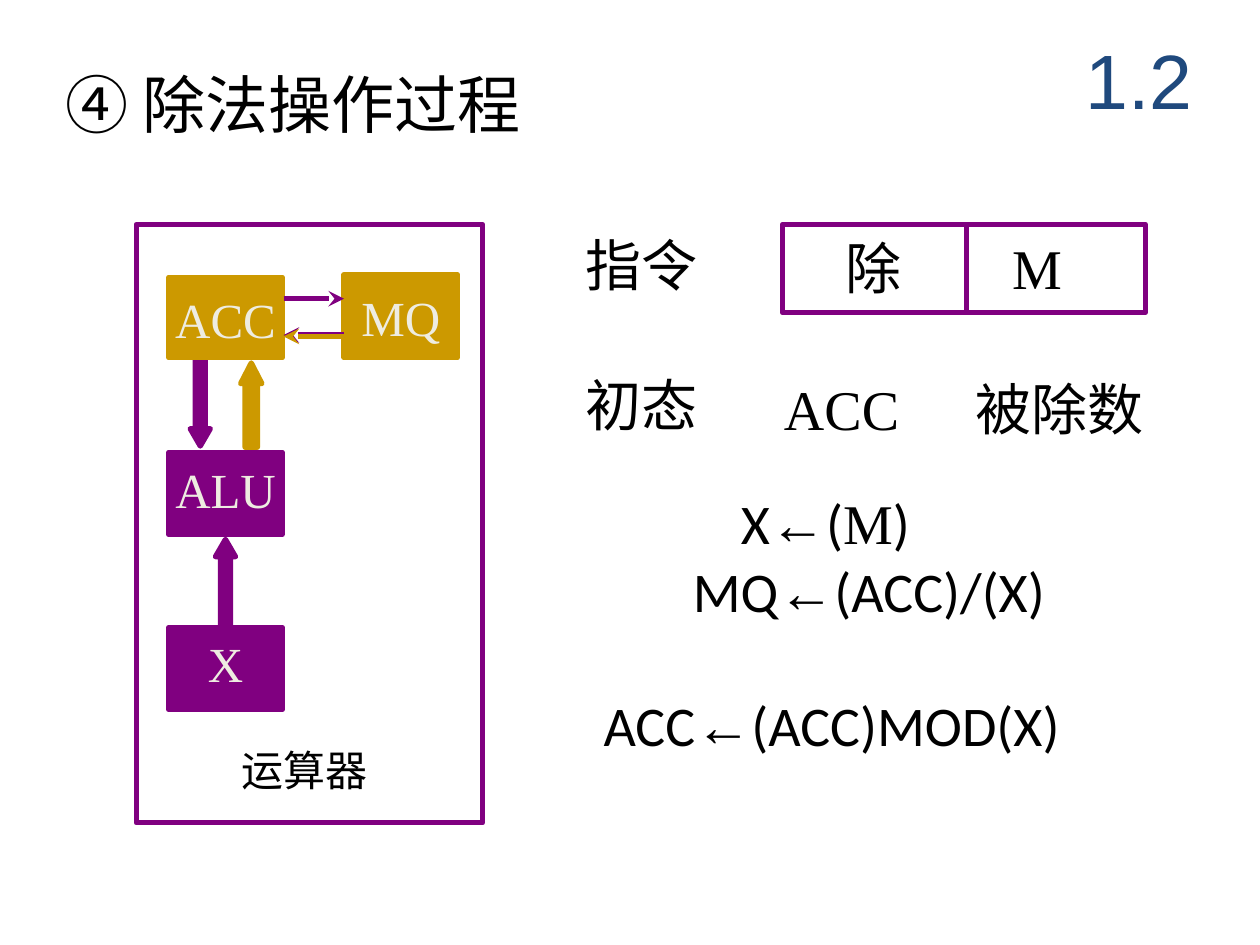
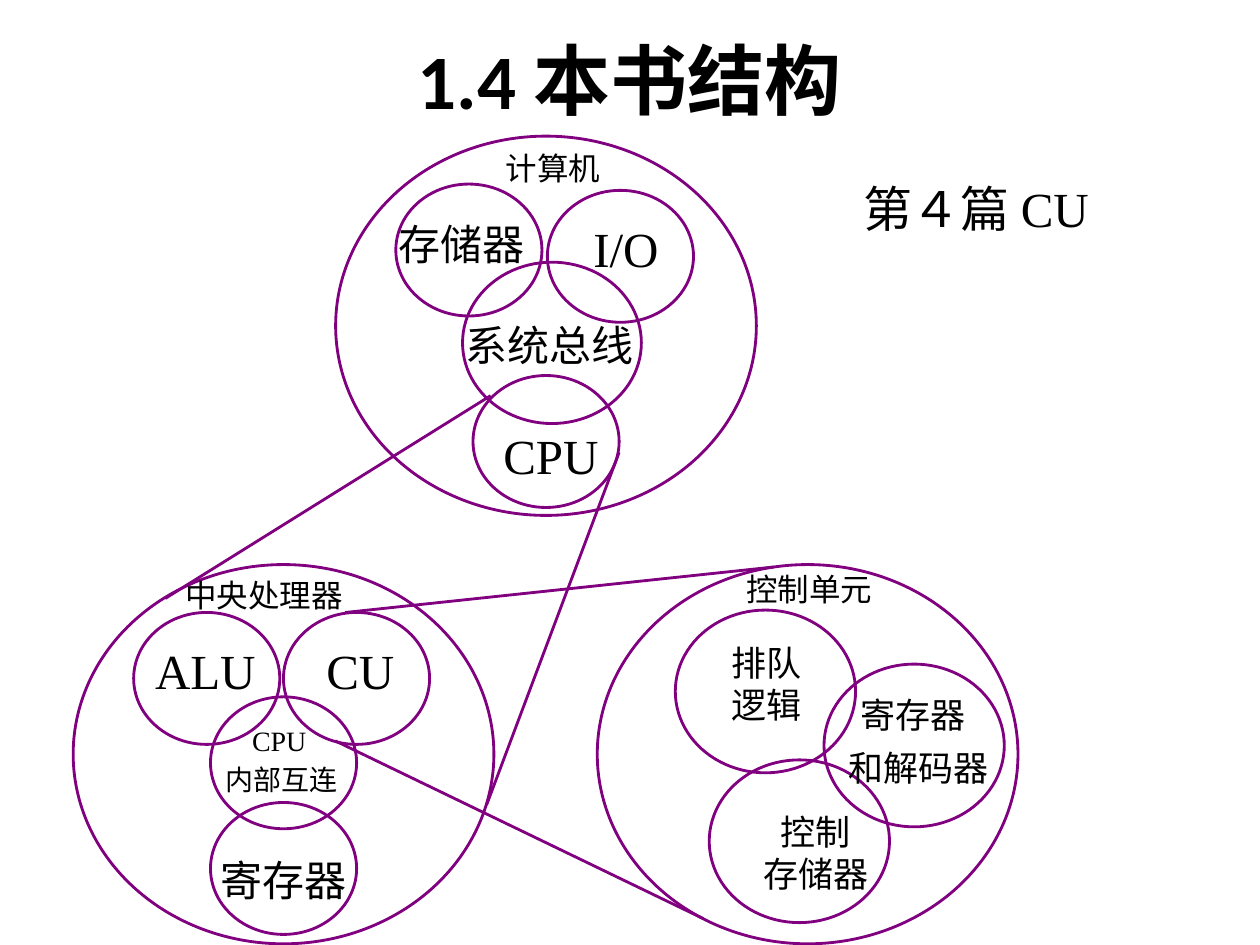
from dataclasses import dataclass
from lxml.etree import SubElement
from pptx import Presentation
from pptx.dml.color import RGBColor
from pptx.enum.shapes import MSO_CONNECTOR, MSO_SHAPE
from pptx.enum.text import MSO_ANCHOR, PP_ALIGN
from pptx.oxml.ns import qn
from pptx.util import Pt


@dataclass(frozen=True)
class Theme:
    purple: str = "800080"
    gold: str = "CC9900"
    black: str = "000000"
    cream: str = "EEECE1"
    navy: str = "1F497D"
    sans: str = "Calibri"
    serif: str = "Times New Roman"
    plain: str = "Arial"
    title: int = 44
    head: int = 36
    body: int = 32
    label: int = 28
    note: int = 24
    small: int = 20
    caption: int = 18
    tiny: int = 16
    thick: float = 3
    thin: float = 1.62


T = Theme()


def shift(box, x, y):
    return box[0] + x, box[1] + y


def paint(color):
    return RGBColor.from_string(color)


def write(para, text, size, font, color=T.black, bold=False):
    run = para.add_run()
    run.text = text
    run.font.size = Pt(size)
    run.font.name = font
    run.font.bold = bold
    run.font.color.rgb = paint(color)


def clear(frame):
    frame.margin_left = frame.margin_right = 0
    frame.margin_top = frame.margin_bottom = 0
    frame.word_wrap = True


def area(slide, box):
    frame = slide.shapes.add_textbox(*map(Pt, box)).text_frame
    clear(frame)
    return frame


def face(text):
    """Latin labels are set in the serif face, Chinese ones in the sans."""
    return T.serif if text.isascii() else T.sans


def label(slide, spot, text, size):
    """Put a label at a point; several lines are centred on each other."""
    lines = text.split("\n")
    width = max(sum(size * (0.9 if c.isascii() else 1) for c in line)
                for line in lines) + 2
    frame = area(slide, (*spot, width, 1.2 * size * len(lines)))
    for i, line in enumerate(lines):
        para = frame.add_paragraph() if i else frame.paragraphs[0]
        if len(lines) > 1:
            para.alignment = PP_ALIGN.CENTER
        write(para, line, size, face(line))


def heading(slide, box, text, font, color, bold=False):
    frame = area(slide, box)
    frame.vertical_anchor = MSO_ANCHOR.MIDDLE
    para = frame.paragraphs[0]
    para.alignment = PP_ALIGN.CENTER
    write(para, text, T.title, font, color, bold)


def form(slide, kind, box, line=T.purple, fill=None, width=T.thick):
    shape = slide.shapes.add_shape(kind, *map(Pt, box))
    shape.shadow.inherit = False
    shape.line.color.rgb = paint(line)
    shape.line.width = Pt(width)
    if fill:
        shape.fill.solid()
        shape.fill.fore_color.rgb = paint(fill)
    else:
        shape.fill.background()
    return shape


def link(slide, start, end, color=T.purple, width=T.thick, head=False):
    line = slide.shapes.add_connector(
        MSO_CONNECTOR.STRAIGHT, *map(Pt, (*start, *end)))
    line.line.color.rgb = paint(color)
    line.line.width = Pt(width)
    if head:
        SubElement(line.line._get_or_add_ln(), qn("a:tailEnd"), type="stealth")
    SubElement(line._element.spPr, qn("a:effectLst"))


def block(slide, box, text, color, drop):
    """A filled register box whose label starts drop points below its top."""
    shape = form(slide, MSO_SHAPE.RECTANGLE, box, color, color)
    frame = shape.text_frame
    clear(frame)
    frame.margin_top = Pt(drop)
    frame.vertical_anchor = MSO_ANCHOR.TOP
    para = frame.paragraphs[0]
    para.alignment = PP_ALIGN.CENTER
    write(para, text, T.label, T.serif, T.cream)


def unit(slide, box):
    """The arithmetic unit: its frame, registers and data paths."""
    form(slide, MSO_SHAPE.RECTANGLE, box)
    arrows = [
        (MSO_SHAPE.DOWN_ARROW, 30.9, 77, 11.5, 49.7, T.purple, 0.5, 0.86),
        (MSO_SHAPE.UP_ARROW, 59.7, 79.2, 12.2, 48.2, T.gold, 0.58, 0.97),
        (MSO_SHAPE.UP_ARROW, 45.3, 180, 11.5, 49.7, T.purple, 0.5, 0.86),
    ]
    for kind, x, y, w, h, color, shaft, tip in arrows:
        arrow = form(slide, kind, (*shift(box, x, y), w, h), color, color)
        arrow.adjustments[0] = shaft
        arrow.adjustments[1] = tip
    blocks = [
        ("ACC", 18.7, 30.2, 46, T.gold, 7.2),
        ("MQ", 118.8, 28.8, 47.5, T.gold, 7.2),
        ("ALU", 18.7, 130.3, 46.8, T.purple, 4.3),
        ("X", 18.7, 230.4, 46.8, T.purple, 3.6),
    ]
    for text, x, y, h, color, drop in blocks:
        block(slide, (*shift(box, x, y), 64.8, h), text, color, drop)
    left, right = 84.2, 118.8
    for x, end, y, color in [(left, right, 42.5, T.purple),
                             (right, left, 63.3, T.purple),
                             (right, left, 64.1, T.gold)]:
        link(slide, shift(box, x, y), shift(box, end, y), color, head=True)
    label(slide, shift(box, 60.4, 297.4), "运算器", T.note)


def order(slide, box):
    """The instruction word and the state before it runs."""
    x, y, w, h = box
    form(slide, MSO_SHAPE.RECTANGLE, (x + w - 207.4, y, 207.4, h))
    edge = x + w - 102
    link(slide, (edge, y), (edge, y + h))
    for dx, dy, text in [(0, 3.6, "指令"), (148.3, 5, "除"),
                         (243.6, 5, "M"), (0, 83.5, "初态"),
                         (113.2, 85.7, "ACC"), (222.8, 85.7, "被除数")]:
        label(slide, (x + dx, y + dy), text, T.body)


def steps(slide, box):
    """The register transfers, each row with its indent and gap above."""
    rows = [
        (78.5, 0, [("X", T.sans), ("←", T.plain), ("(", T.sans),
                   ("M", T.serif), (")", T.sans)]),
        (51, 0, [("MQ", T.sans), ("←", T.plain), ("(ACC)/(X)", T.sans)]),
        (0, 38.4, [("ACC", T.sans), ("←", T.plain),
                   ("(ACC)MOD(X)", T.sans)]),
    ]
    frame = area(slide, box)
    for i, (indent, gap, runs) in enumerate(rows):
        para = frame.add_paragraph() if i else frame.paragraphs[0]
        para._p.get_or_add_pPr().set("marL", str(Pt(indent)))
        if gap:
            para.space_before = Pt(gap)
        for text, font in runs:
            write(para, text, T.body, font)


def divide(slide):
    heading(slide, (606, 12.2, 90, 66), "1.2", T.plain, T.navy)
    label(slide, (37.4, 37.4), "④ 除法操作过程", T.head)
    unit(slide, (77.8, 128.2, 198, 342))
    order(slide, (334.8, 128.2, 319.7, 50.4))
    steps(slide, (344.9, 279.4, 299, 154))


def ring(slide, box, rings, notes):
    """A large ellipse with smaller ones and labels placed inside it."""
    for x, y, w, h in [(0, 0, *box[2:]), *rings]:
        form(slide, MSO_SHAPE.OVAL, (*shift(box, x, y), w, h), width=T.thin)
    for x, y, text, size in notes:
        label(slide, shift(box, x, y), text, size)


def outline(slide):
    heading(slide, (54, 0, 612, 90), "1.4 本书结构", T.sans, T.black, True)
    para = area(slide, (493.2, 102.2, 200, 34)).paragraphs[0]
    write(para, "第４篇 ", T.label, T.sans)
    write(para, "CU", T.label, T.serif)

    size = 240.4, 216.7
    host = 191.8, 77.8, *size
    cpu = 41.8, 322.6, *size
    ctrl = 341.3, 322.6, *size
    small = 83.5, 75.4
    large = 103, 93

    ring(slide, host,
         [(34.4, 27.4, *small), (121, 31, *small),
          (72.5, 72, 102.2, 92.2), (78.5, 136.8, *small)],
         [(97.2, 7.2, "计算机", T.caption), (36, 46.8, "存储器", T.note),
          (147.3, 46.8, "I/O", T.label), (74.2, 105, "系统总线", T.note),
          (95.8, 165.6, "CPU", T.label)])
    ring(slide, cpu,
         [(34.6, 27.4, *small), (120.2, 27.4, *small),
          (78.5, 75.6, *small), (78.5, 136, *small)],
         [(64, 6.5, "中央处理器", T.caption), (46.8, 43.2, "ALU", T.label),
          (144.7, 43.2, "CU", T.label), (102.2, 90.7, "CPU", T.tiny),
          (87.1, 113, "内部互连", T.tiny), (84.2, 165.6, "寄存器", T.note)])
    ring(slide, ctrl,
         [(44.6, 26, *large), (129.6, 56.9, *large), (64, 111.6, *large)],
         [(85, 2.9, "控制单元", T.caption), (76, 43.9, "排队\n逻辑", T.small),
          (150.5, 73.4, "寄存器", T.small),
          (143.3, 103.7, "和解码器", T.small),
          (94, 140.4, "控制\n存储器", T.small)])

    for start, end in [
        (shift(host, 88.6, 148.3), shift(cpu, 52.6, 19.4)),
        (shift(host, 162, 180.7), shift(cpu, 236.2, 137.5)),
        (shift(cpu, 149.8, 100.8), shift(ctrl, 60.5, 202.3)),
        (shift(cpu, 155.5, 27.4), shift(ctrl, 100.8, 1.4)),
    ]:
        link(slide, start, end, width=T.thin)


def main():
    deck = Presentation()
    deck.slide_width, deck.slide_height = Pt(720), Pt(540)
    for draw in (divide, outline):
        draw(deck.slides.add_slide(deck.slide_layouts[6]))
    deck.save("out.pptx")


if __name__ == "__main__":
    main()
